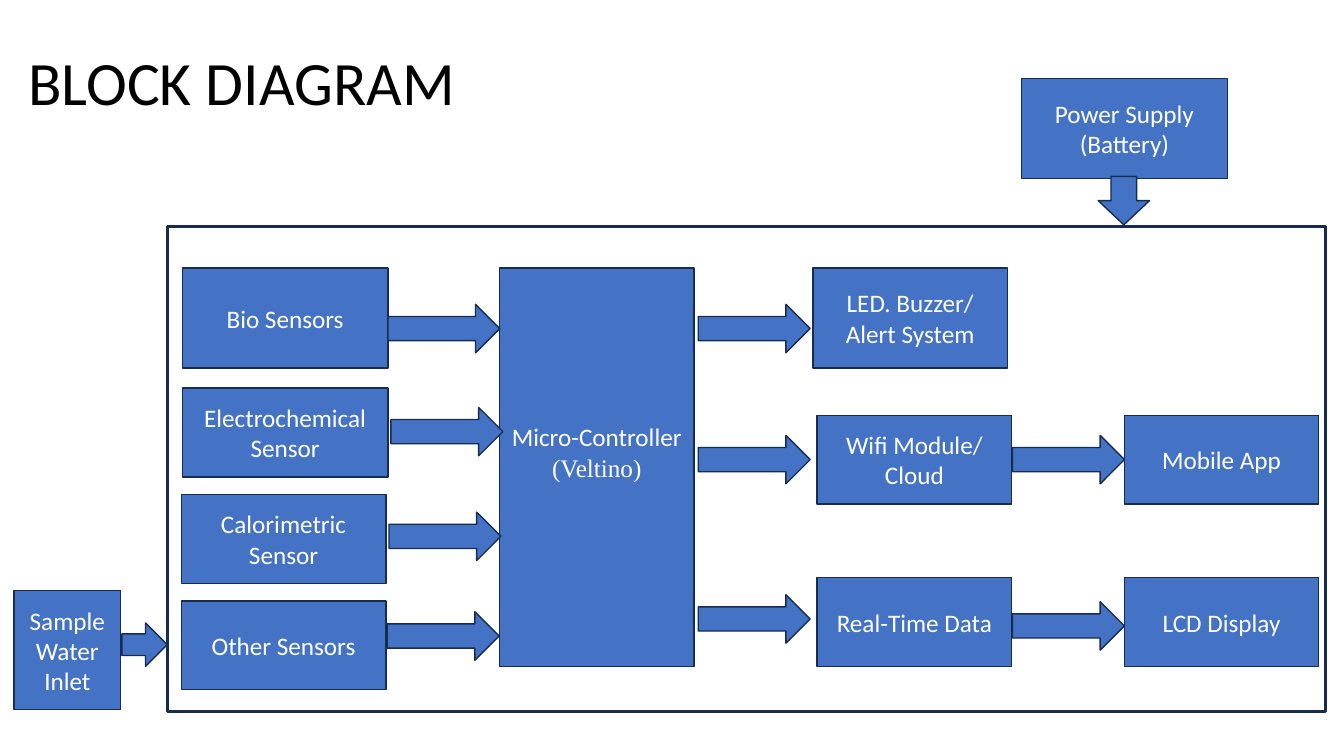
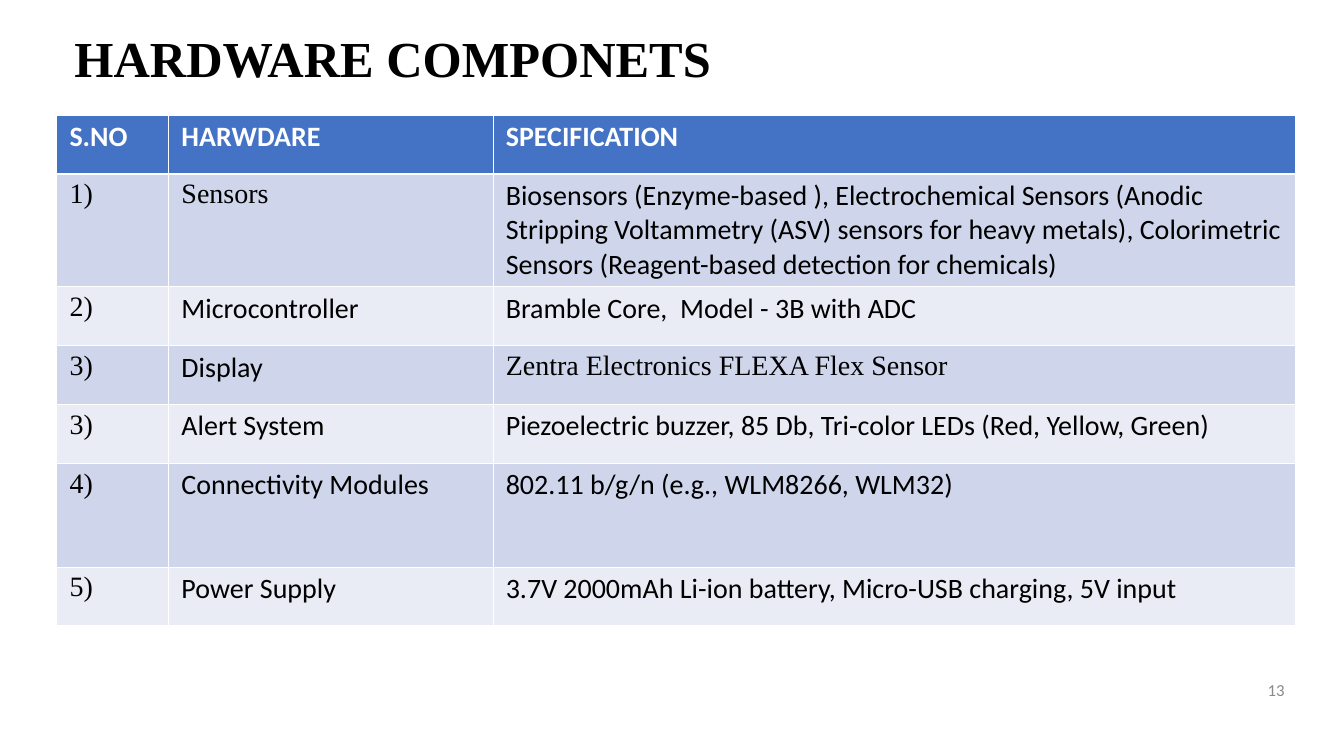
from dataclasses import dataclass

from lxml import etree
from pptx import Presentation
from pptx import util as u
from pptx.dml import color
from pptx.enum import shapes, text
from pptx.oxml import ns
from pptx.shapes import autoshape
from pptx.slide import Slide
from pptx.table import _Cell
from pptx.text.text import TextFrame

SANS, SERIF = "Calibri", "Times New Roman"
BLUE, NAVY, WHITE, BLACK, GREY = "4472C4", "172C51", "FFFFFF", "000000", "898989"
BANDS = ("CFD5EA", "E9EBF5")
RECT = shapes.MSO_SHAPE.RECTANGLE
RIGHT = shapes.MSO_SHAPE.RIGHT_ARROW
DOWN = shapes.MSO_SHAPE.DOWN_ARROW
LEFT_ALIGN = text.PP_ALIGN.LEFT


@dataclass(frozen=True)
class Box:
    x: float
    y: float
    w: float
    h: float

    def lengths(self) -> tuple:
        return u.Pt(self.x), u.Pt(self.y), u.Pt(self.w), u.Pt(self.h)


@dataclass(frozen=True)
class Block:
    label: str
    box: Box
    last_font: str = SANS
    bottom: float = 3.6


@dataclass(frozen=True)
class Arrow:
    box: Box
    kind: int = RIGHT


@dataclass(frozen=True)
class Row:
    cells: tuple[str, str, str]
    height: float
    serif: tuple[int, ...] = (0,)


TALL, LOW = 71.3, 63.4
NEAR, FAR = 584, 803.5
FRAME = Box(119.5, 162, 828, 346.3)

BLOCKS = (
    Block("Micro-Controller\n(Veltino)", Box(357, 191.5, 139, 284.5), SERIF, 25.6),
    Block("Bio Sensors", Box(130.3, 191.5, 147, TALL)),
    Block("Electrochemical Sensor", Box(130.3, 277.2, 147, LOW)),
    Block("Calorimetric Sensor", Box(129.6, 353.2, 146.2, LOW)),
    Block("Other Sensors", Box(129.6, 429.2, 146.2, LOW)),
    Block("LED. Buzzer/ Alert System", Box(581, 191.5, 139, TALL)),
    Block("Wifi Module/ Cloud", Box(NEAR, 296.6, 139, LOW)),
    Block("Real-Time Data", Box(NEAR, 412.6, 139, LOW)),
    Block("Mobile App", Box(FAR, 296.6, 139, LOW)),
    Block("LCD Display", Box(FAR, 412.6, 139, LOW)),
    Block("Power Supply\n(Battery)", Box(730.1, 56.2, 147, TALL)),
    Block("Sample\nWater Inlet", Box(10, 421.9, 76.3, 85)),
)

FLOW_STARTS = (
    (277.2, 217.4), (279.4, 291), (278, 365.8), (276.7, 437),
    (499, 217.4), (499, 311), (499, 424.8),
    (723.6, 311), (723.6, 429.8),
)
ARROWS = tuple(Arrow(Box(x, y, 80, 34.6)) for x, y in FLOW_STARTS) + (
    Arrow(Box(784.8, 126, 36.7, 34.6), DOWN),
    Arrow(Box(87.1, 445, 32.4, 31)),
)

COLUMNS = (80, 231.8, 573.2)
ROWS = (
    Row(("S.NO", "HARWDARE", "SPECIFICATION"), 42, ()),
    Row(("1)", "Sensors",
         "Biosensors (Enzyme-based ), Electrochemical Sensors (Anodic Stripping "
         "Voltammetry (ASV) sensors for heavy metals), Colorimetric Sensors "
         "(Reagent-based detection for chemicals)"), 79.2, (0, 1)),
    Row(("2)", "Microcontroller", "Bramble Core,  Model - 3B with ADC"), 42),
    Row(("3)", "Display", "Zentra Electronics FLEXA Flex Sensor"), 42, (0, 2)),
    Row(("3)", "Alert System",
         "Piezoelectric buzzer, 85 Db, Tri-color LEDs (Red, Yellow, Green)"), 42),
    Row(("4)", "Connectivity Modules", "802.11 b/g/n (e.g., WLM8266, WLM32)"), 74.2),
    Row(("5)", "Power Supply",
         "3.7V 2000mAh Li-ion battery, Micro-USB charging, 5V input"), 42),
)


def rgb(value: str) -> color.RGBColor:
    return color.RGBColor.from_string(value)


def put_text(tf: TextFrame, content: str, *, size: float, font: str = SANS,
             last_font: str | None = None, ink: str = BLACK, bold: bool = False,
             align: int = LEFT_ALIGN, spacing: float = 1.0) -> None:
    tf.word_wrap = True
    lines = content.split("\n")
    for i, line in enumerate(lines):
        p = tf.paragraphs[0] if i == 0 else tf.add_paragraph()
        p.alignment, p.line_spacing = align, spacing
        r = p.add_run()
        r.text = line
        r.font.size, r.font.bold = u.Pt(size), bold
        r.font.name = last_font if last_font and i == len(lines) - 1 else font
        r.font.color.rgb = rgb(ink)


def add_titled_slide(prs: Presentation, title: str, box: Box, *, size: float,
                     font: str, bold: bool = False) -> Slide:
    s = prs.slides.add_slide(prs.slide_layouts[5])
    sp = s.shapes.title
    sp.left, sp.top, sp.width, sp.height = box.lengths()
    tf = sp.text_frame
    tf.auto_size = text.MSO_AUTO_SIZE.NONE
    tf.vertical_anchor = text.MSO_ANCHOR.MIDDLE
    put_text(tf, title, size=size, font=font, bold=bold, spacing=0.9)
    return s


def draw_shape(s: Slide, kind: int, box: Box, *, fill: str | None = BLUE,
               weight: float = 1) -> autoshape.Shape:
    sp = s.shapes.add_shape(kind, *box.lengths())
    sp.shadow.inherit = False
    if fill:
        sp.fill.solid()
        sp.fill.fore_color.rgb = rgb(fill)
    else:
        sp.fill.background()
    sp.line.color.rgb = rgb(NAVY)
    sp.line.width = u.Pt(weight)
    return sp


def draw_block(s: Slide, block: Block) -> None:
    tf = draw_shape(s, RECT, block.box).text_frame
    tf.vertical_anchor = text.MSO_ANCHOR.MIDDLE
    tf.margin_bottom = u.Pt(block.bottom)
    put_text(tf, block.label, size=18, last_font=block.last_font, ink=WHITE,
             align=text.PP_ALIGN.CENTER)


def set_borders(cell: _Cell, **weights: float) -> None:
    tc_pr = cell._tc.get_or_add_tcPr()
    for i, side in enumerate("LRTB"):
        ln = etree.Element(ns.qn(f"a:ln{side}"), w=str(u.Pt(weights.get(side, 0.45))))
        fill = etree.SubElement(ln, ns.qn("a:solidFill"))
        etree.SubElement(fill, ns.qn("a:srgbClr"), val=WHITE)
        tc_pr.insert(i, ln)


def fill_cell(cell: _Cell, content: str, row: int, serif: bool) -> None:
    header = row == 0
    cell.fill.solid()
    cell.fill.fore_color.rgb = rgb(BLUE if header else BANDS[(row - 1) % 2])
    cell.margin_left = cell.margin_right = u.Pt(9.2)
    cell.margin_top = cell.margin_bottom = u.Pt(3.6)
    put_text(cell.text_frame, content, size=20, font=SERIF if serif else SANS,
             ink=WHITE if header else BLACK, bold=header)
    set_borders(cell, T=1.47 if row == 1 else 0.45, B=1.47 if header else 0.45)


def build_diagram(prs: Presentation) -> None:
    s = add_titled_slide(prs, "BLOCK DIAGRAM", Box(13, 8.6, 828, 104.4),
                         size=44, font=SANS)
    draw_shape(s, RECT, FRAME, fill=None, weight=2.25)
    for block in BLOCKS:
        draw_block(s, block)
    for arrow in ARROWS:
        draw_shape(s, arrow.kind, arrow.box)


def build_components(prs: Presentation) -> None:
    s = add_titled_slide(prs, "HARDWARE COMPONETS", Box(46, 18, 828.7, 51.8),
                         size=36, font=SERIF, bold=True)
    area = Box(40.5, 82.1, sum(COLUMNS), sum(row.height for row in ROWS))
    table = s.shapes.add_table(len(ROWS), len(COLUMNS), *area.lengths()).table
    for column, width in zip(table.columns, COLUMNS):
        column.width = u.Pt(width)
    for i, row in enumerate(ROWS):
        table.rows[i].height = u.Pt(row.height)
        for j, content in enumerate(row.cells):
            fill_cell(table.cell(i, j), content, i, j in row.serif)
    tf = s.shapes.add_textbox(*Box(874.8, 478, 50.4, 28.8).lengths()).text_frame
    tf.vertical_anchor = text.MSO_ANCHOR.MIDDLE
    put_text(tf, "13", size=12, ink=GREY, align=text.PP_ALIGN.RIGHT)


def main() -> None:
    prs = Presentation()
    prs.slide_width, prs.slide_height = u.Pt(960.5), u.Pt(540)
    build_diagram(prs)
    build_components(prs)
    prs.save("out.pptx")


if __name__ == "__main__":
    main()
